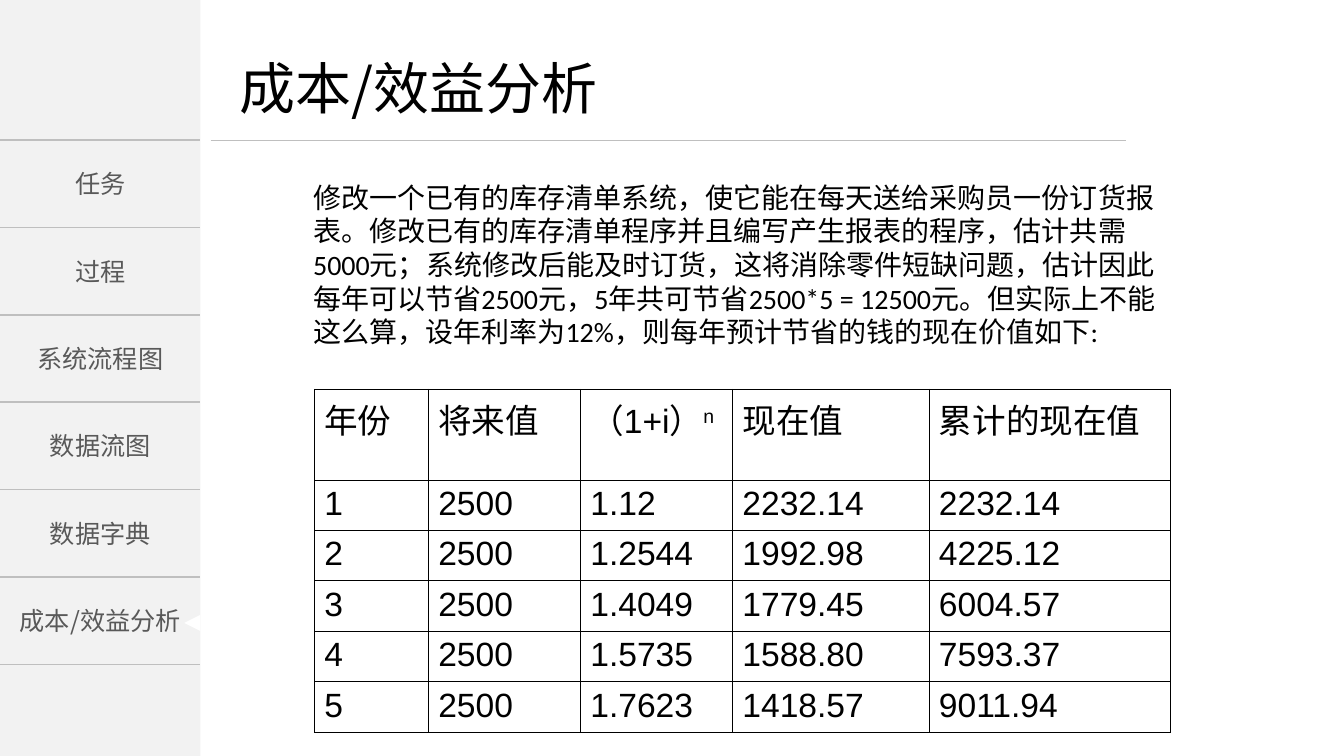
from dataclasses import dataclass

from lxml.etree import SubElement
from pptx import Presentation
from pptx.dml.color import RGBColor
from pptx.enum.dml import MSO_FILL
from pptx.enum.shapes import MSO_CONNECTOR, MSO_SHAPE
from pptx.enum.text import MSO_ANCHOR, PP_ALIGN
from pptx.oxml.ns import qn
from pptx.util import Inches, Pt

CJK = "Noto Sans CJK SC"
BLACK, WHITE, GREY = "000000", "FFFFFF", "BFBFBF"
NAV_W, NAV_TOP, NAV_BOTTOM = 1.99, 1.39, 6.59
NAV = ["任务", "过程", "系统流程图", "数据流图", "数据字典", "成本/效益分析"]
COLS = [1.13, 1.51, 1.51, 1.95, 2.4]
ROWS = [0.9] + [0.5] * 5
CELLS = [
    ["年份", "将来值", "（1+i）", "现在值", "累计的现在值"],
    ["1", "2500", "1.12", "2232.14", "2232.14"],
    ["2", "2500", "1.2544", "1992.98", "4225.12"],
    ["3", "2500", "1.4049", "1779.45", "6004.57"],
    ["4", "2500", "1.5735", "1588.80", "7593.37"],
    ["5", "2500", "1.7623", "1418.57", "9011.94"],
]
BODY = (
    "修改一个已有的库存清单系统，使它能在每天送给采购员一份订货报表。"
    "修改已有的库存清单程序并且编写产生报表的程序，估计共需5000元；"
    "系统修改后能及时订货，这将消除零件短缺问题，估计因此每年可以节省2500元，"
    "5年共可节省2500*5 = 12500元。但实际上不能这么算，设年利率为12%，"
    "则每年预计节省的钱的现在价值如下:"
)


@dataclass
class Label:
    text: str
    left: float
    top: float
    width: float
    height: float
    size: float
    font: str = CJK
    color: str = BLACK
    align: PP_ALIGN = PP_ALIGN.LEFT
    anchor: MSO_ANCHOR = MSO_ANCHOR.TOP
    wrap: bool = True
    spacing: float | Pt | None = None
    margin: float = 0


@dataclass
class Rule:
    x1: float
    x2: float
    y: float
    weight: float


def rgb(value: str) -> RGBColor:
    return RGBColor.from_string(value)


def add_run(p, text: str, size: float, font: str, color: str):
    r = p.add_run()
    r.text = text
    r.font.size = Pt(size)
    r.font.name = font
    r.font.color.rgb = rgb(color)
    SubElement(r.font._element, qn("a:ea")).set("typeface", CJK)
    return r


def set_indent(p, margin: float, indent: float) -> None:
    pPr = p._p.get_or_add_pPr()
    pPr.set("marL", str(Inches(margin)))
    pPr.set("indent", str(Inches(indent)))


def add_label(s, label: Label) -> None:
    sp = s.shapes.add_textbox(Inches(label.left), Inches(label.top),
                              Inches(label.width), Inches(label.height))
    tf = sp.text_frame
    tf.word_wrap = label.wrap
    tf.vertical_anchor = label.anchor
    p = tf.paragraphs[0]
    p.alignment = label.align
    p.line_spacing = label.spacing
    set_indent(p, label.margin, 0)
    add_run(p, label.text, label.size, label.font, label.color)


def add_rule(s, rule: Rule) -> None:
    cxn = s.shapes.add_connector(MSO_CONNECTOR.STRAIGHT, Inches(rule.x1), Inches(rule.y),
                                 Inches(rule.x2), Inches(rule.y))
    cxn.line.color.rgb = rgb(GREY)
    cxn.line.width = Pt(rule.weight)
    SubElement(cxn._element.spPr, qn("a:effectLst"))


def add_solid(s, kind: MSO_SHAPE, left: float, top: float, width: float, height: float,
              color: str):
    sp = s.shapes.add_shape(kind, Inches(left), Inches(top), Inches(width), Inches(height))
    sp.shadow.inherit = False
    sp.fill.solid()
    sp.fill.fore_color.rgb = rgb(color)
    sp.line.fill.background()
    return sp


def style_cell(cell) -> None:
    tcPr = cell._tc.get_or_add_tcPr()
    for side in ("a:lnL", "a:lnR", "a:lnT", "a:lnB"):
        ln = SubElement(tcPr, qn(side), w=str(Pt(0.45)))
        SubElement(SubElement(ln, qn("a:solidFill")), qn("a:srgbClr"), val=BLACK)
    cell.fill.solid()
    cell.fill.fore_color.rgb = rgb(WHITE)


def add_value_table(s) -> None:
    tbl = s.shapes.add_table(len(ROWS), len(COLS), Inches(3.12), Inches(3.86),
                             Inches(sum(COLS)), Inches(sum(ROWS))).table
    tbl.first_row = tbl.horz_banding = False
    for col, width in zip(tbl.columns, COLS):
        col.width = Inches(width)
    for row, height, texts in zip(tbl.rows, ROWS, CELLS):
        row.height = Inches(height)
        for cell, text in zip(row.cells, texts):
            style_cell(cell)
            p = cell.text_frame.paragraphs[0]
            set_indent(p, 0.38, -0.38)
            add_run(p, text, 24, "Arial", BLACK)
    power = add_run(tbl.cell(0, 2).text_frame.paragraphs[0], "n", 24, "Arial", BLACK)
    power.font._element.set("baseline", "30000")


def add_navigation(s) -> None:
    step = (NAV_BOTTOM - NAV_TOP) / len(NAV)
    add_solid(s, MSO_SHAPE.RECTANGLE, 0, 0, NAV_W, 7.5, "F2F2F2")
    for i, text in enumerate(NAV):
        add_label(s, Label(text, 0, NAV_TOP + i * step, NAV_W, step, 18, color="595959",
                           align=PP_ALIGN.CENTER, anchor=MSO_ANCHOR.MIDDLE))
    for i in range(len(NAV) + 1):
        add_rule(s, Rule(0, NAV_W, NAV_TOP + i * step, 1))
    marker = add_solid(s, MSO_SHAPE.ISOSCELES_TRIANGLE, 1.83, 6.1, 0.16, 0.16, WHITE)
    marker.rotation = 270


def main() -> None:
    prs = Presentation()
    prs.slide_width, prs.slide_height = Inches(13.34), Inches(7.5)
    s = prs.slides.add_slide(prs.slide_layouts[6])
    add_rule(s, Rule(2.09, 11.18, NAV_TOP, 0.5))
    add_label(s, Label(NAV[-1], 2.28, 0.56, 4.13, 0.77, 40, wrap=False, spacing=0.9))
    add_navigation(s)
    add_label(s, Label(BODY, 2.51, 1.74, 9.11, 2.44, 20, "Calibri",
                       spacing=Pt(24), margin=0.5))
    add_value_table(s)
    prs.save("out.pptx")


if __name__ == "__main__":
    main()
